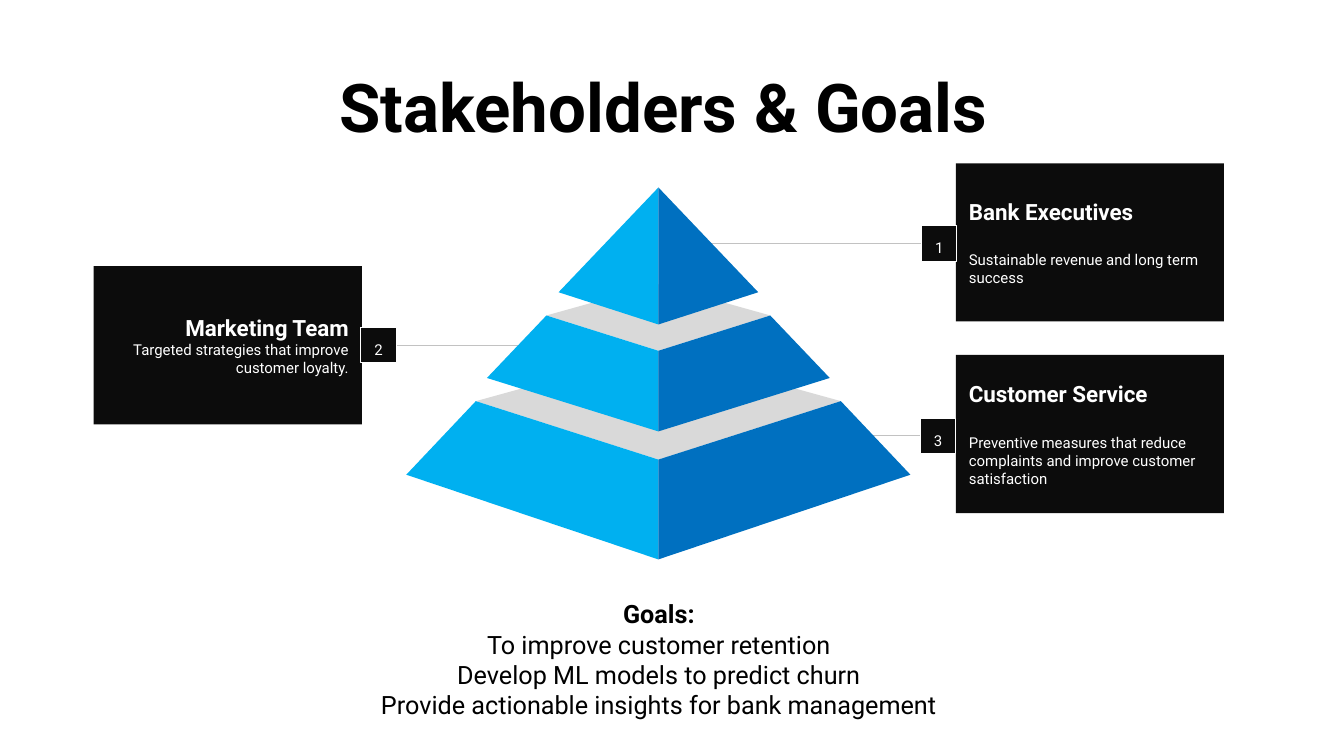
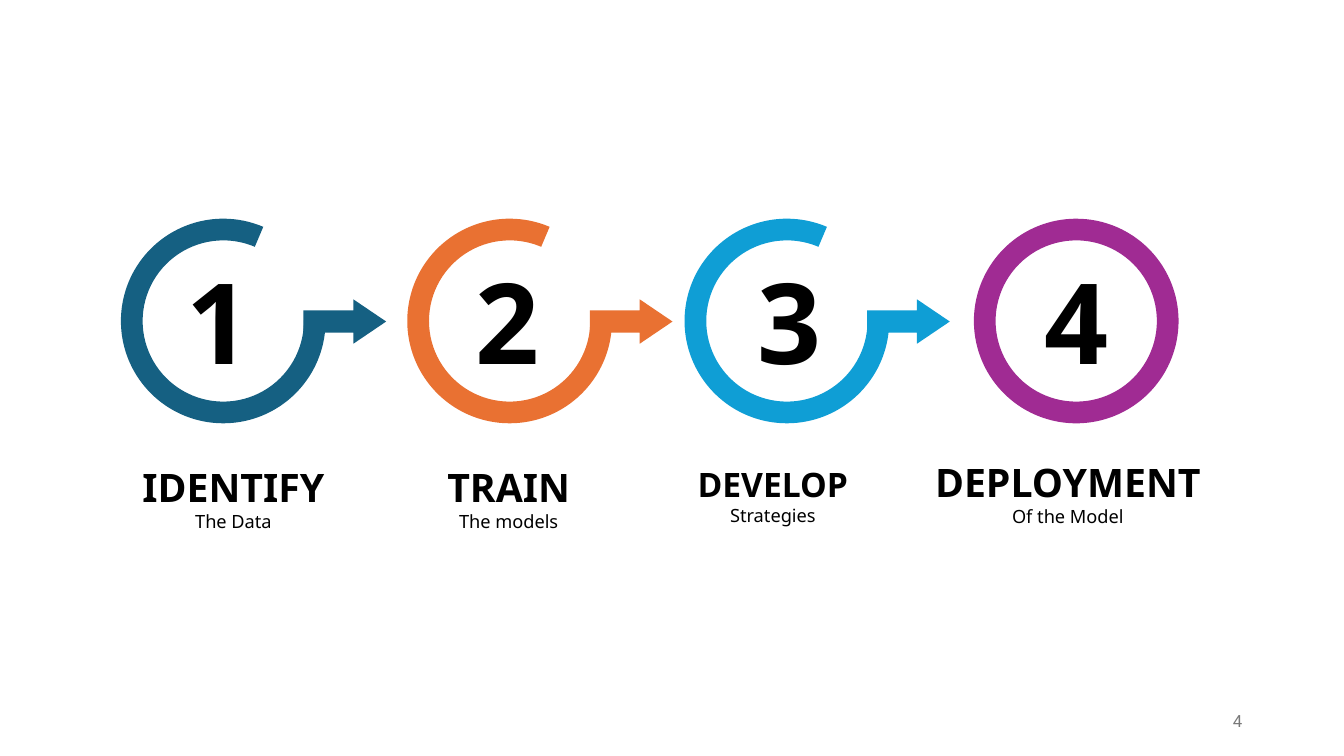
from dataclasses import dataclass

from lxml.etree import SubElement
from pptx import Presentation
from pptx.dml.color import RGBColor
from pptx.enum.shapes import MSO_CONNECTOR, MSO_SHAPE
from pptx.enum.text import MSO_ANCHOR, MSO_AUTO_SIZE, PP_ALIGN
from pptx.oxml.ns import qn
from pptx.util import Inches, Pt

BLACK = "000000"
WHITE = "FFFFFF"
CARD_BLACK = "0C0C0C"
RULE_GREY = "C2C2C2"
NUMBER_GREY = "797979"
LID_GREY = "D9D9D9"
LIGHT_FACE = "00B0F0"
DARK_FACE = "0070C0"

AXIS = 6.53
CARD_WIDTH, CARD_HEIGHT = 2.66, 1.57
BADGE = 0.35
RING = 2.03
ARC_UNIT = 0.6
ARC_END = 293.02


@dataclass(frozen=True)
class Line:
    text: str
    size: float
    bold: bool = False
    after: float = 0


@dataclass(frozen=True)
class Style:
    font: str = "Roboto"
    color: str = BLACK
    align: PP_ALIGN = PP_ALIGN.CENTER
    anchor: MSO_ANCHOR = MSO_ANCHOR.TOP
    margin: float | None = None
    spacing: float | None = None
    grow: bool = False


@dataclass(frozen=True)
class Tier:
    top_half: float
    top_edge: float
    base_half: float
    base_edge: float
    ridge_top: float
    ridge_base: float
    back: float | None = None


@dataclass(frozen=True)
class Callout:
    number: str
    title: str
    detail: str
    left: float
    top: float
    badge_left: float
    badge_top: float
    line_start: float
    title_gap: float = 18.75
    align: PP_ALIGN = PP_ALIGN.LEFT


@dataclass(frozen=True)
class Step:
    number: str
    title: str
    detail: str
    color: str
    ring_left: float
    number_left: float
    label_left: float
    label_width: float
    label_top: float = 4.55
    title_size: int = 28
    arc_start: float = 359.5
    arrow: bool = True


TIERS = [
    Tier(1.81, 3.98, 2.5, 4.71, 4.56, 5.55, 3.48),
    Tier(1.11, 3.13, 1.7, 3.75, 3.48, 4.28, 2.82),
    Tier(0, 1.86, 0.99, 2.9, 1.86, 3.22),
]

CALLOUTS = [
    Callout("3", "Customer Service",
            "Preventive measures that reduce complaints and improve customer satisfaction",
            9.48, 3.52, 9.13, 4.15, 8.62),
    Callout("2", "Marketing Team", "Targeted strategies that improve customer loyalty.",
            0.93, 2.64, 3.58, 3.25, 5.19, 0, PP_ALIGN.RIGHT),
    Callout("1", "Bank Executives", "Sustainable revenue and long term success",
            9.48, 1.62, 9.14, 2.24, 7.01),
]

STEPS = [
    Step("1", "IDENTIFY", "The Data", "156082", 1.2, 1.2, 1.3, 2.03),
    Step("2", "TRAIN", "The models", "E97132", 4.04, 4.07, 4.13, 1.83),
    Step("3", "DEVELOP", "Strategies", "0F9ED5", 6.79, 6.87, 6.75, 1.83, title_size=24),
    Step("4", "DEPLOYMENT", "Of the Model", "A02B93", 9.66, 9.71, 9.15, 2.88, 4.5,
         arc_start=293.2, arrow=False),
]


def rgb(value: str) -> RGBColor:
    return RGBColor.from_string(value)


def paint(shape, fill: str, outline: str | None = None) -> None:
    shape.shadow.inherit = False
    shape.fill.solid()
    shape.fill.fore_color.rgb = rgb(fill)
    if outline:
        shape.line.color.rgb = rgb(outline)
        shape.line.width = Pt(0.75)
    else:
        shape.line.fill.background()


def write(shape, lines: list[Line], style: Style) -> None:
    frame = shape.text_frame
    frame.text = "\n".join(line.text for line in lines)
    frame.word_wrap = True
    frame.vertical_anchor = style.anchor
    if style.grow:
        frame.auto_size = MSO_AUTO_SIZE.SHAPE_TO_FIT_TEXT
    if style.margin is not None:
        frame.margin_left = frame.margin_right = Inches(style.margin)
        frame.margin_top = frame.margin_bottom = Inches(style.margin)
    for para, line in zip(frame.paragraphs, lines):
        para.alignment = style.align
        para.space_after = Pt(line.after)
        if style.spacing:
            para.line_spacing = style.spacing
        for span in para.runs:
            span.font.name = style.font
            span.font.size = Pt(line.size)
            span.font.bold = line.bold
            span.font.color.rgb = rgb(style.color)


def add_preset(page, kind: MSO_SHAPE, left: float, top: float, width: float,
               height: float, fill: str, outline: str | None = None):
    shape = page.shapes.add_shape(kind, Inches(left), Inches(top), Inches(width), Inches(height))
    paint(shape, fill, outline)
    return shape


def add_text(page, left: float, top: float, width: float, height: float,
             lines: list[Line], style: Style) -> None:
    box = page.shapes.add_textbox(Inches(left), Inches(top), Inches(width), Inches(height))
    write(box, lines, style)


def add_polygon(page, points: list[tuple[float, float]], fill: str) -> None:
    start, *rest = [(Inches(AXIS + x), Inches(y)) for x, y in points]
    builder = page.shapes.build_freeform(*start)
    builder.add_line_segments(rest, close=True)
    paint(builder.convert_to_shape(), fill)


def add_rule(page, start: float, end: float, y: float) -> None:
    rule = page.shapes.add_connector(MSO_CONNECTOR.STRAIGHT, Inches(start), Inches(y),
                                     Inches(end), Inches(y))
    rule.line.color.rgb = rgb(RULE_GREY)
    rule.line.width = Pt(0.75)
    SubElement(rule.element.spPr, qn("a:effectLst"))


def draw_tier(page, tier: Tier) -> None:
    if tier.back is not None:
        add_polygon(page, [(-tier.top_half, tier.top_edge), (0, tier.ridge_top),
                           (tier.top_half, tier.top_edge), (0, tier.back)], LID_GREY)
    for side, fill in ((-1, LIGHT_FACE), (1, DARK_FACE)):
        add_polygon(page, [(side * tier.top_half, tier.top_edge),
                           (side * tier.base_half, tier.base_edge),
                           (0, tier.ridge_base), (0, tier.ridge_top)], fill)


def draw_callout(page, callout: Callout) -> None:
    middle = BADGE / 2
    add_rule(page, callout.line_start, callout.badge_left + middle, callout.badge_top + middle)
    card = add_preset(page, MSO_SHAPE.RECTANGLE, callout.left, callout.top,
                      CARD_WIDTH, CARD_HEIGHT, CARD_BLACK)
    write(card, [Line(callout.title, 16, True, callout.title_gap),
                 Line(callout.detail, 10.7, after=21.3)],
          Style(color=WHITE, align=callout.align, anchor=MSO_ANCHOR.MIDDLE, margin=0.13))
    badge = add_preset(page, MSO_SHAPE.RECTANGLE, callout.badge_left, callout.badge_top,
                       BADGE, BADGE, CARD_BLACK, WHITE)
    write(badge, [Line(callout.number, 10.7, after=21.3)], Style(color=WHITE, margin=0.13))


def draw_step(page, step: Step) -> None:
    ring = add_preset(page, MSO_SHAPE.BLOCK_ARC, step.ring_left, 2.17, RING, RING, step.color)
    ring.adjustments[0] = step.arc_start * ARC_UNIT
    ring.adjustments[1] = ARC_END * ARC_UNIT
    ring.adjustments[2] = 0.106
    if step.arrow:
        arrow = add_preset(page, MSO_SHAPE.RIGHT_ARROW, step.ring_left + 1.81, 2.97,
                           0.82, 0.44, step.color)
        arrow.adjustments[0] = 0.5
        arrow.adjustments[1] = 0.738
    add_text(page, step.number_left, 2.46, 1.93, 1.45, [Line(step.number, 80, True)],
             Style(font="Open Sans", grow=True))
    add_text(page, step.label_left, step.label_top, step.label_width, 0.79,
             [Line(step.title, step.title_size, True), Line(step.detail, 13)],
             Style(font="Noto Sans", grow=True))


def draw_stakeholders(page) -> None:
    for callout in CALLOUTS:
        draw_callout(page, callout)
    for tier in TIERS:
        draw_tier(page, tier)
    add_text(page, 0, 0.53, 13.33, 0.98, [Line("Stakeholders & Goals ", 48, True)],
             Style(anchor=MSO_ANCHOR.BOTTOM, spacing=0.9))
    add_text(page, 0.65, 5.89, 11.77, 1.31,
             [Line("Goals:", 18, True),
              Line("To improve customer retention", 18),
              Line("Develop ML models to predict churn", 18),
              Line("Provide actionable insights for bank management", 18)],
             Style(grow=True))


def draw_process(page) -> None:
    add_text(page, 9.42, 6.95, 3, 0.4, [Line("4", 12)],
             Style(color=NUMBER_GREY, align=PP_ALIGN.RIGHT, anchor=MSO_ANCHOR.MIDDLE))
    for step in STEPS:
        draw_step(page, step)


def main() -> None:
    deck = Presentation()
    deck.slide_width = Inches(13.33)
    deck.slide_height = Inches(7.5)
    for draw in (draw_stakeholders, draw_process):
        draw(deck.slides.add_slide(deck.slide_layouts[6]))
    deck.save("out.pptx")


if __name__ == "__main__":
    main()
